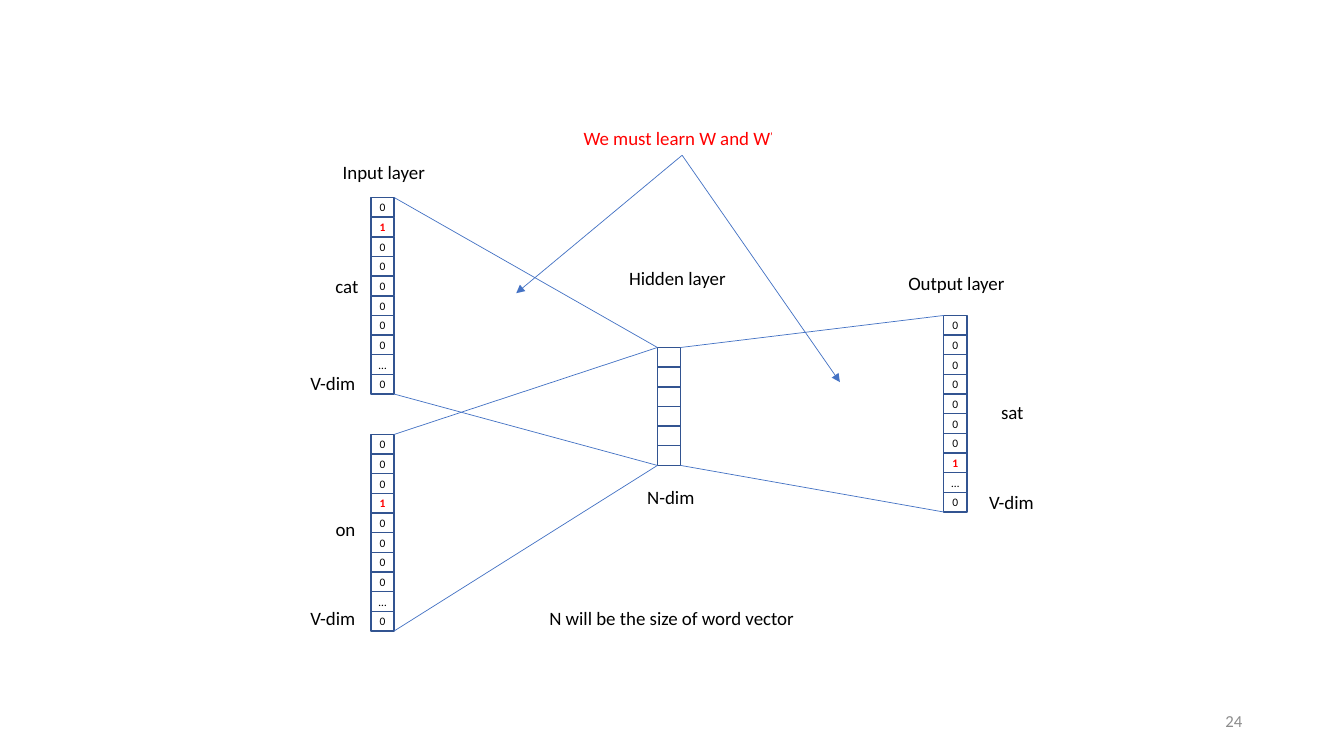
from lxml.etree import SubElement
from pptx import Presentation
from pptx.dml.color import RGBColor
from pptx.enum.shapes import MSO_CONNECTOR, MSO_SHAPE
from pptx.enum.text import MSO_ANCHOR, MSO_AUTO_SIZE, PP_ALIGN
from pptx.oxml.ns import qn
from pptx.util import Inches, Pt

BLACK, RED, GREY = "000000", "FF0000", "8C8C8C"
EDGE, LINK = "325491", "4472C4"


def paint(color, code):
    color.rgb = RGBColor.from_string(code)


class Board:
    """Style and slide; lengths are columns and rows of a fine grid."""
    font = "Calibri"
    col, row = 0.23, 0.195

    def __init__(self, slide):
        self.slide = slide

    def x(self, cols):
        return Inches(cols * self.col)

    def y(self, rows):
        return Inches(rows * self.row)

    def style(self, run, size, code, bold=False):
        run.font.name = self.font
        run.font.size = Pt(size)
        run.font.bold = bold
        paint(run.font.color, code)

    def label(self, text, left, top, width, code=BLACK, sup=""):
        box = self.slide.shapes.add_textbox(
            self.x(left), self.y(top), self.x(width), self.y(1.7))
        frame = box.text_frame
        frame.text = text
        frame.word_wrap = False
        frame.auto_size = MSO_AUTO_SIZE.SHAPE_TO_FIT_TEXT
        para = frame.paragraphs[0]
        if sup:
            mark = para.add_run()
            mark.text = sup
            mark._r.get_or_add_rPr().set("baseline", "30000")
        for run in para.runs:
            self.style(run, 13.5, code)
        return box

    def number(self, text, left, top, width, height):
        box = self.slide.shapes.add_textbox(
            self.x(left), self.y(top), self.x(width), self.y(height))
        frame = box.text_frame
        frame.text = text
        frame.word_wrap = True
        frame.vertical_anchor = MSO_ANCHOR.MIDDLE
        para = frame.paragraphs[0]
        para.alignment = PP_ALIGN.RIGHT
        self.style(para.runs[0], 12, GREY)

    def vector(self, left, top, marks):
        group = self.slide.shapes.add_group_shape()
        for i, mark in enumerate(marks):
            cell = group.shapes.add_shape(
                MSO_SHAPE.RECTANGLE, self.x(left), self.y(top + i),
                self.x(1), self.y(1))
            cell.shadow.inherit = False
            cell.fill.background()
            paint(cell.line.color, EDGE)
            cell.line.width = Pt(1)
            if mark:
                self.digit(cell.text_frame, mark)

    def digit(self, frame, mark):
        frame.text = mark
        frame.word_wrap = False
        frame.vertical_anchor = MSO_ANCHOR.MIDDLE
        frame.margin_left = frame.margin_right = 0
        frame.margin_top = frame.margin_bottom = 0
        para = frame.paragraphs[0]
        para.alignment = PP_ALIGN.CENTER
        hot = mark == "1"
        self.style(para.runs[0], 8.2, RED if hot else BLACK, hot)

    def link(self, start, end):
        line = self.slide.shapes.add_connector(
            MSO_CONNECTOR.STRAIGHT, self.x(start[0]), self.y(start[1]),
            self.x(end[0]), self.y(end[1]))
        paint(line.line.color, LINK)
        line.line.width = Pt(0.5)
        SubElement(line._element.spPr, qn("a:effectLst"))
        return line

    def arrow(self, box, start, end):
        line = self.link(start, end)
        line.begin_connect(box, 2)
        SubElement(line.line._get_or_add_ln(), qn("a:tailEnd"), type="triangle")


def main():
    deck = Presentation()
    deck.slide_width, deck.slide_height = Inches(13.33), Inches(7.5)
    board = Board(deck.slides.add_slide(deck.slide_layouts[6]))

    # Layer positions: three equally spaced columns
    inp, mid, out = (16 + 12.35 * i for i in range(3))
    cat, on, hid, sat = 10.05, 22.1, 17.68, 16.05
    size, depth = 10, 6

    # Vectors
    board.vector(inp, cat, "01000000…0")
    board.vector(inp, on, "00010000…0")
    board.vector(mid, hid, [""] * depth)
    board.vector(out, sat, "00000001…0")

    # Links between the ends of the vectors
    for far, near in ((0, 0), (size, depth)):
        for top in (cat, on):
            board.link((inp + 1, top + far), (mid, hid + near))
        board.link((mid + 1, hid + near), (out, sat + far))

    # Labels
    for text, left, top, width in (
            ("Input layer", 14.35, 7.9, 4.48),
            ("Hidden layer", 26.7, 13.33, 5.13),
            ("Output layer", 38.74, 13.59, 5.09),
            ("cat", 14.04, 13.74, 1.87),
            ("on", 14.04, 26.1, 1.74),
            ("sat", 42.74, 20.15, 1.87),
            ("V-dim", 12.96, 18.67, 2.87),
            ("V-dim", 12.96, 30.62, 2.87),
            ("N-dim", 27.48, 24.46, 2.96),
            ("V-dim", 42.22, 24.72, 2.87),
            ("N will be the size of word vector", 23.26, 30.62, 11.57)):
        board.label(text, left, top, width)

    # Note with arrows to both weight matrices
    note = board.label("We must learn W and W", 24.74, 6.2, 9.35, RED, "’")
    for end in ((22.26, 14.92), (36.22, 19.44)):
        board.arrow(note, (29.4, 7.9), end)

    # Slide number
    board.number("24", 40.96, 35.64, 13.04, 2.05)
    deck.save("out.pptx")


if __name__ == "__main__":
    main()
